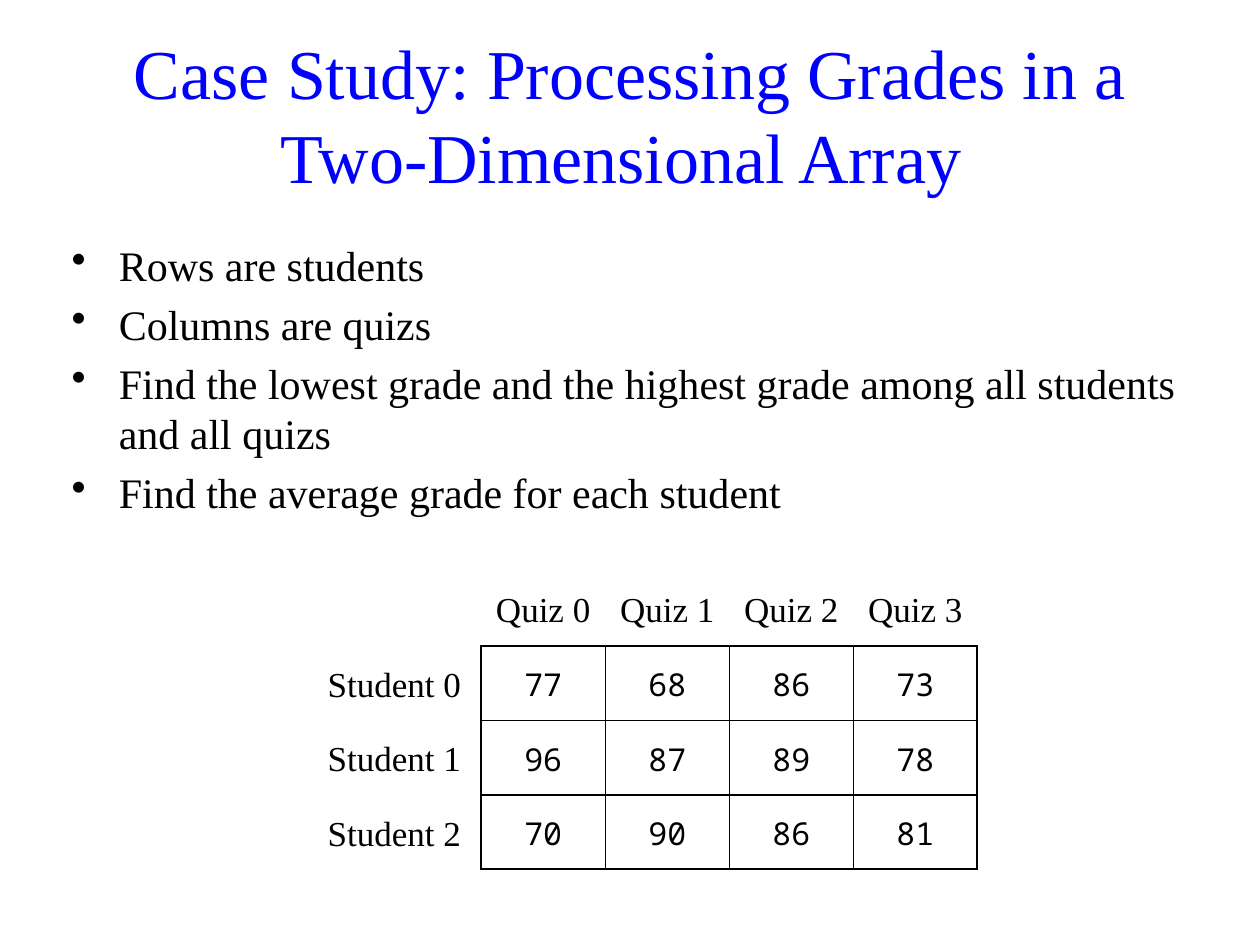
from lxml.etree import SubElement
from pptx import Presentation
from pptx.dml.color import RGBColor
from pptx.enum.text import MSO_ANCHOR as Anchor, PP_ALIGN as Align
from pptx.oxml import parse_xml
from pptx.oxml.ns import nsdecls, qn
from pptx.util import Pt

SERIF, MONO = "Times New Roman", "Noto Sans Mono"
BLACK, BLUE = "000000", "0000FF"
OUTER, INNER = 1.5, 1


def color(value):
    return RGBColor.from_string(value)


class SlideBuilder:
    """Holds the text style and the current slide."""

    def __init__(self, page, face=SERIF, ink=BLACK):
        self.page, self.face, self.ink = page, face, ink

    def format(self, para, size, face=None, ink=None):
        for span in para.runs:
            span.font.size = Pt(size)
            span.font.name = face or self.face
            span.font.color.rgb = color(ink or self.ink)

    def title(self, text, left, top, width, height):
        box = self.page.shapes.title
        box.left, box.top, box.width, box.height = map(Pt, (left, top, width, height))
        frame = box.text_frame
        frame.text = text
        frame.word_wrap = True
        frame.vertical_anchor = Anchor.MIDDLE
        frame.paragraphs[0].alignment = Align.CENTER
        self.format(frame.paragraphs[0], 40, ink=BLUE)

    def bullets(self, items, left, top, width, height, size=24, indent=27, gap=5):
        box = self.page.shapes.add_textbox(*map(Pt, (left, top, width, height)))
        frame = box.text_frame
        frame.word_wrap = True
        frame.margin_top = Pt(8.6)
        frame.text = "\n".join(items)
        for index, para in enumerate(frame.paragraphs):
            props = para._p.get_or_add_pPr()
            props.set("marL", str(Pt(indent)))
            props.set("indent", str(-Pt(indent)))
            SubElement(props, qn("a:buChar"), char="•")
            if index:
                para.space_before = Pt(gap)
            self.format(para, size)

    def label(self, text, left, top, width, height, size=20):
        box = self.page.shapes.add_textbox(*map(Pt, (left, top, width, height)))
        frame = box.text_frame
        frame.text = text
        frame.word_wrap = False
        frame.vertical_anchor = Anchor.MIDDLE
        frame.paragraphs[0].alignment = Align.CENTER
        self.format(frame.paragraphs[0], size)

    def borders(self, cell, **widths):
        props = cell._tc.get_or_add_tcPr()
        for index, side in enumerate("LRTB"):
            line = parse_xml(
                f'<a:ln{side} {nsdecls("a")} w="{Pt(widths[side])}"><a:solidFill>'
                f'<a:srgbClr val="{self.ink}"/></a:solidFill></a:ln{side}>')
            props.insert(index, line)

    def table(self, rows, left, top, cell_width, cell_height):
        last_row, last_col = len(rows) - 1, len(rows[0]) - 1
        table = self.page.shapes.add_table(
            len(rows), len(rows[0]), Pt(left), Pt(top),
            Pt(cell_width * len(rows[0])), Pt(cell_height * len(rows))).table
        table.first_row = table.horz_banding = False
        for r, values in enumerate(rows):
            for c, value in enumerate(values):
                cell = table.cell(r, c)
                cell.text = str(value)
                cell.fill.background()
                cell.vertical_anchor = Anchor.MIDDLE
                cell.margin_top, cell.margin_bottom = Pt(4.3), Pt(2.9)
                para = cell.text_frame.paragraphs[0]
                para.alignment = Align.CENTER
                self.format(para, 18, MONO)
                self.borders(cell,
                             L=INNER if c else OUTER,
                             R=INNER if c < last_col else OUTER,
                             T=INNER if r else OUTER,
                             B=INNER if r < last_row else OUTER)


def main():
    deck = Presentation()
    deck.slide_width, deck.slide_height = Pt(720), Pt(540)
    slide = SlideBuilder(deck.slides.add_slide(deck.slide_layouts[5]))

    # Title and tasks
    slide.title("Case Study: Processing Grades in a Two-Dimensional Array ",
                33.8, 15, 652.4, 99.4)
    slide.bullets([
        "Rows are students",
        "Columns are quizs",
        "Find the lowest grade and the highest grade among all students and all quizs",
        "Find the average grade for each student",
    ], 33.8, 128, 652.4, 170)

    # Grade table
    grades = [[77, 68, 86, 73], [96, 87, 89, 78], [70, 90, 86, 81]]
    left, top, cell_width, cell_height = 275, 369.2, 70.88, 42.5
    slide.table(grades, left, top, cell_width, cell_height)

    # Row and column labels
    label_width = 99.2
    for row in range(len(grades)):
        slide.label(f"Student {row}", left - label_width, top + row * cell_height,
                    label_width, cell_height)
    for col in range(len(grades[0])):
        slide.label(f"Quiz {col}", left + col * cell_width, top - cell_height,
                    cell_width, cell_height)

    deck.save("out.pptx")


if __name__ == "__main__":
    main()
